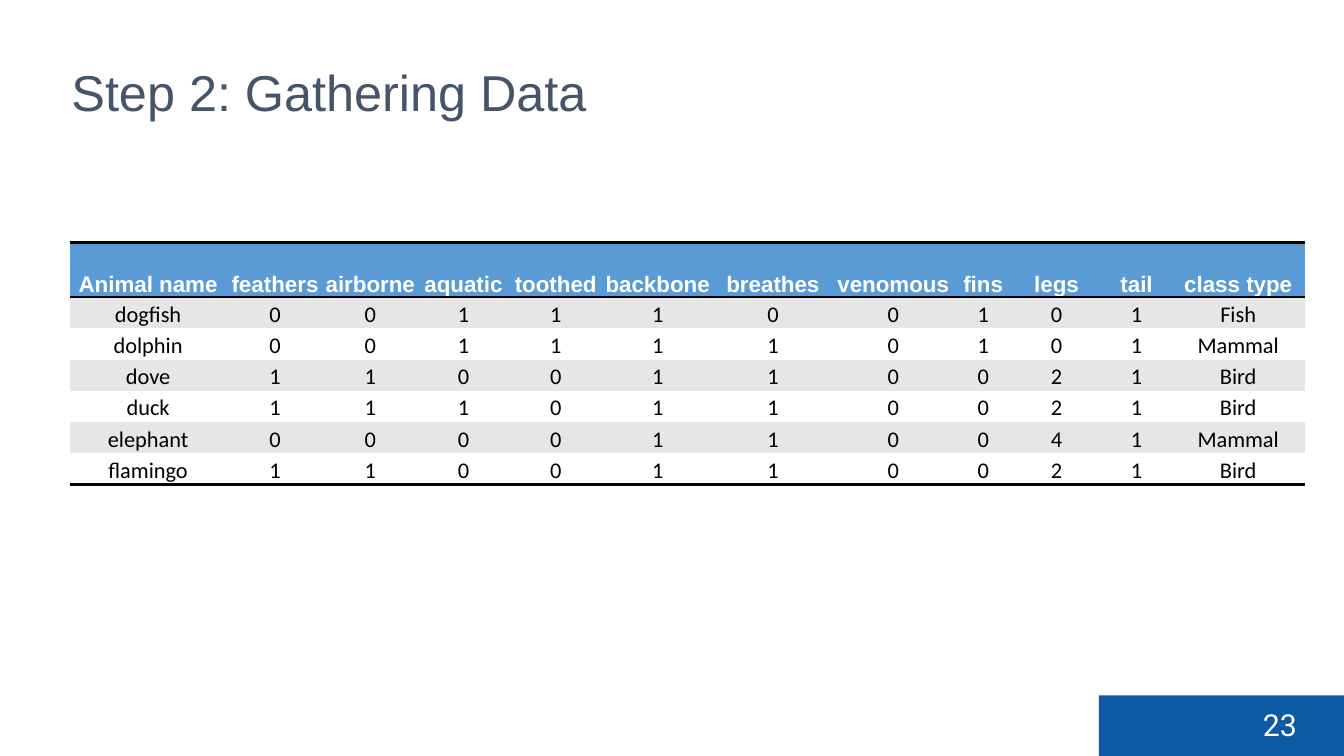
import lxml.etree
import pptx
import pptx.dml.color
import pptx.enum.shapes
import pptx.enum.text
import pptx.oxml.ns
import pptx.util

Pt = pptx.util.Pt
RGBColor = pptx.dml.color.RGBColor
CENTER = pptx.enum.text.PP_ALIGN.CENTER

SLATE = RGBColor(0x44, 0x54, 0x6A)
NAVY = RGBColor(0x0C, 0x5A, 0xA5)
BLUE = RGBColor(0x5B, 0x9B, 0xD5)
GRAY = RGBColor(0xE6, 0xE6, 0xE6)
WHITE = RGBColor(0xFF, 0xFF, 0xFF)
BLACK = RGBColor(0, 0, 0)


def write(frame, text, size, font, color, bold=False, align=None):
    para = frame.paragraphs[0]
    para.alignment = align
    span = para.add_run()
    span.text = text
    span.font.size = Pt(size)
    span.font.name = font
    span.font.bold = bold
    span.font.color.rgb = color


def add_border(cell, side, ruled):
    """Draw a black rule on one side of a cell, or clear that side."""
    qn = pptx.oxml.ns.qn
    properties = cell._tc.get_or_add_tcPr()
    line = lxml.etree.SubElement(properties, qn("a:ln" + side), w=str(Pt(2)))
    if ruled:
        fill = lxml.etree.SubElement(line, qn("a:solidFill"))
        lxml.etree.SubElement(fill, qn("a:srgbClr"), val=str(BLACK))
    else:
        lxml.etree.SubElement(line, qn("a:noFill"))


deck = pptx.Presentation()
deck.slide_width = Pt(960)
deck.slide_height = Pt(540)
page = deck.slides.add_slide(deck.slide_layouts[6])

# Title
title = page.shapes.add_textbox(Pt(44), Pt(40), Pt(778), Pt(50))
title.text_frame.word_wrap = True
write(title.text_frame, "Step 2: Gathering Data", 36, "Arial", SLATE)

# Page number on its band
band = page.shapes.add_shape(pptx.enum.shapes.MSO_SHAPE.RECTANGLE,
                             Pt(785), Pt(496.8), Pt(175), Pt(43.2))
band.shadow.inherit = False
band.fill.solid()
band.fill.fore_color.rgb = NAVY
band.line.fill.background()
number = page.shapes.add_textbox(Pt(895), Pt(501), Pt(39), Pt(33))
write(number.text_frame, "23", 21.6, "Roboto", WHITE)

# Animal data
rows = [
    ["Animal name", "feathers", "airborne", "aquatic", "toothed", "backbone",
     "breathes", "venomous", "fins", "legs", "tail", "class type"],
    ["dogfish", *"0011100101", "Fish"],
    ["dolphin", *"0011110101", "Mammal"],
    ["dove", *"1100110021", "Bird"],
    ["duck", *"1110110021", "Bird"],
    ["elephant", *"0000110041", "Mammal"],
    ["flamingo", *"1100110021", "Bird"],
]
widths = [111.6, 69.7, 66.5, 66.6, 65.3, 80.3, 84.4, 87.5, 41, 63.9, 50.4, 94.8]
heights = [39] + [22.3] * 6
ruled_edges = (0, 1, len(rows))

# Table
table = page.shapes.add_table(len(rows), len(widths), Pt(50), Pt(173.3),
                              Pt(sum(widths)), Pt(sum(heights))).table
table.first_row = False
table.horz_banding = False
for column, width in zip(table.columns, widths):
    column.width = Pt(width)
for index, (row, height) in enumerate(zip(rows, heights)):
    table.rows[index].height = Pt(height)
    header = index == 0
    for position, text in enumerate(row):
        cell = table.cell(index, position)
        cell.margin_left = cell.margin_right = cell.margin_top = Pt(0.7)
        cell.margin_bottom = 0
        cell.vertical_anchor = pptx.enum.text.MSO_ANCHOR.BOTTOM
        add_border(cell, "L", False)
        add_border(cell, "R", False)
        add_border(cell, "T", index in ruled_edges)
        add_border(cell, "B", index + 1 in ruled_edges)
        cell.fill.solid()
        cell.fill.fore_color.rgb = BLUE if header else GRAY if index % 2 else WHITE
        write(cell.text_frame, text, 16, "Arial" if header else "Calibri",
              WHITE if header else BLACK, bold=header, align=CENTER)

deck.save("out.pptx")
